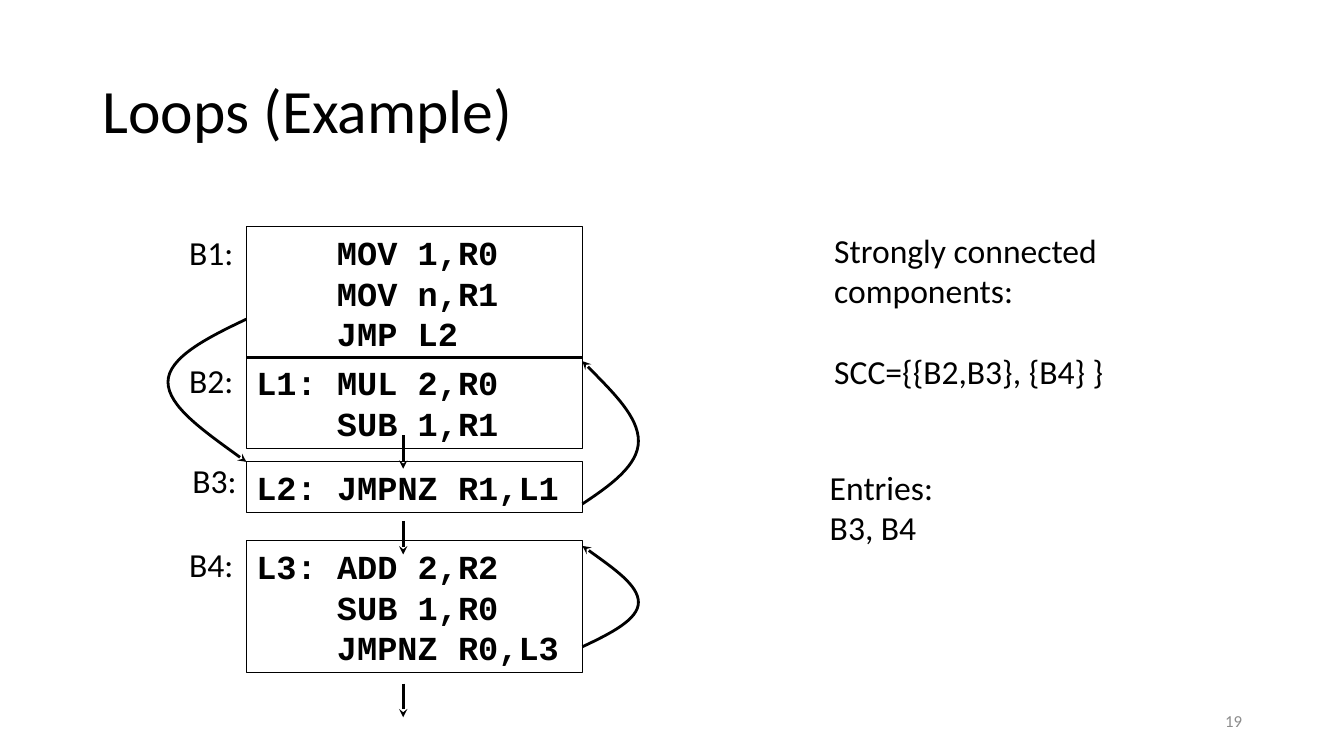
from lxml import etree
from pptx import Presentation, util as u
from pptx.dml import color
from pptx.enum import shapes, text
from pptx.oxml import ns


def rgb(value):
    return color.RGBColor.from_string(value)


class Board:
    body, code, ink, muted = "Calibri", "Courier New", "000000", "8C8C8C"
    columns, rows = 120, 90
    code_line = 29

    def __init__(self, deck):
        self.width, self.height = deck.slide_width, deck.slide_height
        self.slide = deck.slides.add_slide(deck.slide_layouts[5])

    def x(self, column):
        return round(self.width * column / self.columns)

    def y(self, row):
        return round(self.height * row / self.rows)

    def area(self, column, row, columns, rows):
        return self.x(column), self.y(row), self.x(columns), self.y(rows)

    def add_words(self, paragraph, words, size=24, font=None, tint=None, bold=False):
        run = paragraph.add_run()
        run.text = words
        run.font.size = u.Pt(size)
        run.font.name = font or self.body
        run.font.bold = bold
        run.font.color.rgb = rgb(tint or self.ink)

    def paragraphs(self, frame, count):
        return [frame.paragraphs[0]] + [frame.add_paragraph() for _ in range(count - 1)]

    def title(self, words, *area):
        heading = self.slide.shapes.title
        heading.left, heading.top, heading.width, heading.height = self.area(*area)
        frame = heading.text_frame
        frame.vertical_anchor = text.MSO_ANCHOR.MIDDLE
        line = frame.paragraphs[0]
        line.alignment = text.PP_ALIGN.LEFT
        line.line_spacing = 0.9
        self.add_words(line, words, 44)

    def page_number(self, number, *area):
        frame = self.slide.shapes.add_textbox(*self.area(*area)).text_frame
        frame.word_wrap = True
        frame.vertical_anchor = text.MSO_ANCHOR.MIDDLE
        frame.paragraphs[0].alignment = text.PP_ALIGN.RIGHT
        self.add_words(frame.paragraphs[0], number, 12, tint=self.muted)

    def note(self, lines, *area, gap_before=None):
        frame = self.slide.shapes.add_textbox(*self.area(*area)).text_frame
        frame.word_wrap = False
        frame.auto_size = text.MSO_AUTO_SIZE.SHAPE_TO_FIT_TEXT
        for index, line in enumerate(self.paragraphs(frame, len(lines))):
            if index == gap_before:
                line.space_before = u.Pt(29)
            self.add_words(line, lines[index])

    def block(self, instructions, column, row, columns):
        rows = 1.2 + 4.84 * len(instructions)
        box = self.slide.shapes.add_shape(
            shapes.MSO_SHAPE.RECTANGLE, *self.area(column, row, columns, rows))
        box.shadow.inherit = False
        box.fill.background()
        self.stroke(box, 0.75)
        frame = box.text_frame
        frame.word_wrap = True
        frame.vertical_anchor = text.MSO_ANCHOR.TOP
        frame.auto_size = text.MSO_AUTO_SIZE.SHAPE_TO_FIT_TEXT
        for line, words in zip(self.paragraphs(frame, len(instructions)), instructions):
            line.alignment = text.PP_ALIGN.LEFT
            line.line_spacing = u.Pt(self.code_line)
            if ":" not in words:
                line._p.get_or_add_pPr().set("marL", str(u.Inches(0.8)))
            self.add_words(line, words, font=self.code, bold=True)

    def stroke(self, shape, points, arrow=False):
        shape.line.color.rgb = rgb(self.ink)
        shape.line.width = u.Pt(points)
        if arrow:
            outline = shape.line._get_or_add_ln()
            etree.SubElement(outline, ns.qn("a:tailEnd"), type="stealth")

    def fall_through(self, column, row, rows):
        arrow = self.slide.shapes.add_connector(
            shapes.MSO_CONNECTOR.STRAIGHT,
            self.x(column), self.y(row), self.x(column), self.y(row + rows))
        self.stroke(arrow, 2, arrow=True)
        etree.SubElement(arrow._element.spPr, ns.qn("a:effectLst"))

    def jump(self, side, bend, start, end):
        shares = [(0.5, 0.13), (1, 0.27), (1, 0.44), (1, 0.61), (0.5, 0.8), (0, 1)]
        points = [(self.x(side + (bend - side) * across),
                   self.y(start + (end - start) * along)) for across, along in shares]
        outline = self.slide.shapes.build_freeform(self.x(side), self.y(start))
        outline.add_line_segments(points, close=False)
        curve = outline.convert_to_shape()
        curve.shadow.inherit = False
        curve.fill.background()
        self.stroke(curve, 2, arrow=True)
        track = curve._element.xpath(".//a:path")[0]
        corners = list(track)[1:]
        for first in (0, 3):
            bezier = etree.SubElement(track, ns.qn("a:cubicBezTo"))
            for corner in corners[first:first + 3]:
                bezier.append(corner[0])
                track.remove(corner)


def main():
    deck = Presentation()
    deck.slide_width, deck.slide_height = u.Inches(13.33), u.Inches(7.5)
    board = Board(deck)
    board.title("Loops (Example)", 8.25, 4.8, 103.5, 17.4)
    board.page_number("19", 84.8, 83.4, 27, 4.8)

    left, span = 22, 30
    right = left + span
    basic_blocks = [
        ("B1:", 16, 27, 27, ["MOV 1,R0", "MOV n,R1", "JMP L2"]),
        ("B2:", 16, 42.2, 42.5, ["L1: MUL 2,R0", "SUB 1,R1"]),
        ("B3:", 16.3, 54.2, 55, ["L2: JMPNZ R1,L1"]),
        ("B4:", 16, 64.2, 64.4, ["L3: ADD 2,R2", "SUB 1,R0", "JMPNZ R0,L3"]),
    ]
    for label, label_column, label_row, row, instructions in basic_blocks:
        board.block(instructions, left, row, span)
        board.note([label], label_column, label_row, 5.8, 6)

    for side, bend, start, end in [(left, 15, 38, 55), (right, 57, 60, 43), (right, 57, 77, 65)]:
        board.jump(side, bend, start, end)
    for row in (51.8, 62, 81.4):
        board.fall_through(36, row, 4)

    board.note(["Strongly connected", "components:", "SCC={{B2,B3}, {B4} }"],
               73.6, 26.8, 26, 20.6, gap_before=2)
    board.note(["Entries:", "B3, B4"], 73.2, 55, 11.2, 10.9)
    deck.save("out.pptx")


if __name__ == "__main__":
    main()
